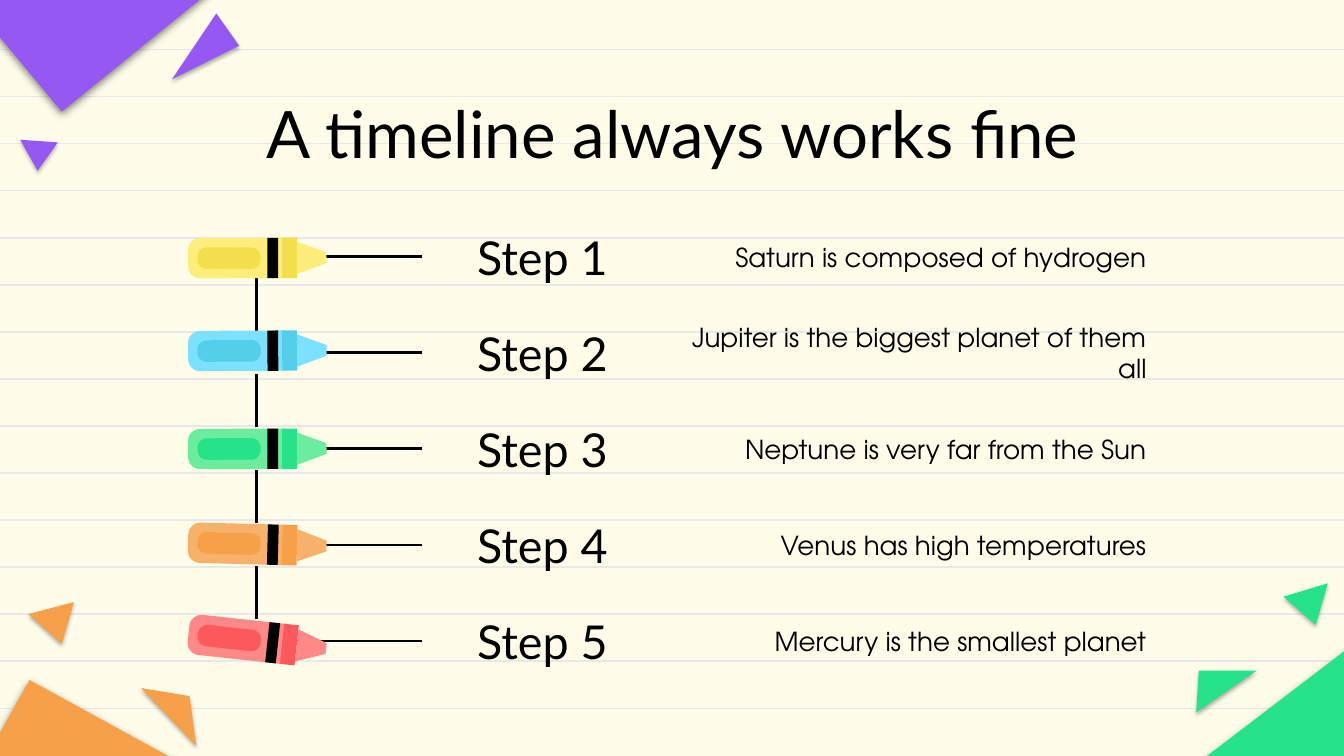
import math

from lxml import etree
from pptx import Presentation
from pptx import util as u
from pptx.dml.color import RGBColor
from pptx.enum import shapes, text
from pptx.oxml.ns import qn

STEP_GAP = 0.715
CRAYON_X = 1.91
# label, description, crayon centre, tilt, light colour, dark colour
STEPS = [
    ("Step 1", "Saturn is composed of hydrogen", 1.92, -0.2, "FDEE7C", "F3DF4E"),
    ("Step 2", "Jupiter is the biggest planet of them all", 2.61, -0.3, "7BE1FD", "54CEEA"),
    ("Step 3", "Neptune is very far from the Sun", 3.34, -0.2, "6BEC9E", "26E288"),
    ("Step 4", "Venus has high temperatures", 4.05, 1.5, "F7B16A", "F6A049"),
    ("Step 5", "Mercury is the smallest planet", 4.77, 6.2, "FF8888", "FC595D"),
]
ORANGE, GREEN, PURPLE = "F6A049", "26E288", "9658F3"
BIG_TRIANGLES = [
    (ORANGE, [(-1.21, 7.61), (2.32, 6.21), (0.22, 5.06)]),
    (GREEN, [(8.15, 6.26), (12.19, 6.26), (10.56, 4.42)]),
    (PURPLE, [(2.73, -1.01), (-1.07, -1.01), (0.46, 0.83)]),
]
SMALL_TRIANGLES = [
    (ORANGE, [(1.46, 5.55), (1.41, 5.18), (1.05, 5.12)]),
    (ORANGE, [(0.55, 4.48), (0.21, 4.57), (0.46, 4.79)]),
    (PURPLE, [(0.43, 1.06), (0.15, 1.04), (0.28, 1.27)]),
    (PURPLE, [(1.28, 0.59), (1.78, 0.34), (1.61, 0.10)]),
    (GREEN, [(9.88, 4.34), (9.55, 4.44), (9.79, 4.65)]),
    (GREEN, [(9.35, 4.99), (8.92, 4.99), (8.90, 5.30)]),
]


def rgb(color):
    return RGBColor.from_string(color)


def add_line(s, x1, y1, x2, y2, color, width):
    cn = s.shapes.add_connector(shapes.MSO_CONNECTOR.STRAIGHT,
                                *map(u.Inches, (x1, y1, x2, y2)))
    cn.line.color.rgb = rgb(color)
    cn.line.width = u.Pt(width)
    etree.SubElement(cn.element.spPr, qn("a:effectLst"))


def add_polygon(parent, points, color):
    pts = [(u.Inches(x), u.Inches(y)) for x, y in points]
    fb = parent.shapes.build_freeform(*pts[0])
    fb.add_line_segments(pts[1:], close=True)
    sp = fb.convert_to_shape()
    sp.fill.solid()
    sp.fill.fore_color.rgb = rgb(color)
    sp.line.fill.background()
    sp.shadow.inherit = False
    return sp


def add_triangle(s, points, color, blur, alpha):
    sp = add_polygon(s, points, color)
    effects = sp.element.spPr.find(qn("a:effectLst"))
    shadow = etree.SubElement(effects, qn("a:outerShdw"), blurRad=str(u.Pt(blur)),
                              dist=str(u.Pt(1.5)), dir="5400000", algn="bl", rotWithShape="0")
    clr = etree.SubElement(shadow, qn("a:srgbClr"), val="000000")
    etree.SubElement(clr, qn("a:alpha"), val=str(alpha * 1000))


def box(left, right, half):
    return [(left, -half), (right, -half), (right, half), (left, half)]


def rounded(left, right, half, r, round_right=True):
    """Outline of a bar with round corners on the left, or on both ends."""
    pts = []
    corners = [(left + r, half - r, 90), (left + r, r - half, 180)]
    if round_right:
        corners += [(right - r, r - half, 270), (right - r, half - r, 0)]
    for cx, cy, start in corners:
        for a in range(start, start + 91, 10):
            t = math.radians(a)
            pts.append((cx + r * math.cos(t), cy + r * math.sin(t)))
    if not round_right:
        pts += [(right, -half), (right, half)]
    return pts


def add_crayon(s, y, tilt, light, dark):
    grp = s.shapes.add_group_shape()
    c, n = math.cos(math.radians(tilt)), math.sin(math.radians(tilt))
    parts = [
        (rounded(-0.51, 0.21, 0.15, 0.09, False), light),  # body
        (box(0.19, 0.3, 0.15), dark),                      # collar
        (rounded(-0.44, 0.03, 0.08, 0.07), dark),          # label panel
        (box(0.08, 0.16, 0.15), "000000"),                 # band
        ([(0.3, -0.12), (0.3, 0.12), (0.52, 0.04), (0.52, -0.04)], light),  # tip
    ]
    for pts, color in parts:
        add_polygon(grp, [(CRAYON_X + px * c - py * n, y + px * n + py * c)
                          for px, py in pts], color)


def set_text(sp, content, size, font, align, anchor):
    tf = sp.text_frame
    tf.word_wrap = True
    tf.auto_size = text.MSO_AUTO_SIZE.NONE
    tf.vertical_anchor = anchor
    tf.margin_left = tf.margin_right = tf.margin_top = tf.margin_bottom = u.Inches(0.1)
    p = tf.paragraphs[0]
    p.text = content
    p.alignment = align
    p.font.size = u.Pt(size)
    p.font.name = font
    p.font.color.rgb = rgb("000000")


def add_text(s, x, y, w, h, *style):
    set_text(s.shapes.add_textbox(*map(u.Inches, (x, y, w, h))), *style,
             text.MSO_ANCHOR.MIDDLE)


def add_title(s, content):
    sp = s.shapes.title
    sp.left, sp.top, sp.width, sp.height = map(u.Inches, (0.79, 0.59, 8.43, 0.63))
    set_text(sp, content, 35, "Lato", text.PP_ALIGN.CENTER, text.MSO_ANCHOR.TOP)
    sp.element.getparent().append(sp.element)  # in front of the ruled lines


def main():
    prs = Presentation()
    prs.slide_width = u.Inches(10)
    prs.slide_height = u.Inches(10 * 9 / 16)
    s = prs.slides.add_slide(prs.slide_layouts[5])
    s.background.fill.solid()
    s.background.fill.fore_color.rgb = rgb("FFFDEA")

    # Ruled paper and corner triangles
    for i in range(15):
        y = 0.37 + 0.35 * i
        add_line(s, 0, y, 10.04, y, "E8E8E8", 0.75)
    for color, points in BIG_TRIANGLES:
        add_triangle(s, points, color, 4.5, 50)

    add_title(s, "A timeline always works fine")

    # Timeline rows, with a link down to the next row
    for i, (label, description, *_) in enumerate(STEPS):
        dy = STEP_GAP * i
        add_text(s, 3.14, 1.62 + dy, 1.79, 0.58, label, 25, "Lato", text.PP_ALIGN.CENTER)
        add_text(s, 4.93, 1.62 + dy, 3.7, 0.58, description, 14, "TeX Gyre Adventor",
                 text.PP_ALIGN.RIGHT)
        add_line(s, 2.08, 1.91 + dy, 3.14, 1.91 + dy, "000000", 1.5)
        if i < len(STEPS) - 1:
            add_line(s, 1.91, 2.07 + dy, 1.91, 2.46 + dy, "000000", 1.5)

    # Crayons
    for _, _, y, tilt, light, dark in STEPS:
        add_crayon(s, y, tilt, light, dark)

    # Loose triangles
    for color, points in SMALL_TRIANGLES:
        add_triangle(s, points, color, 2.2, 31)

    prs.save("out.pptx")


if __name__ == "__main__":
    main()
